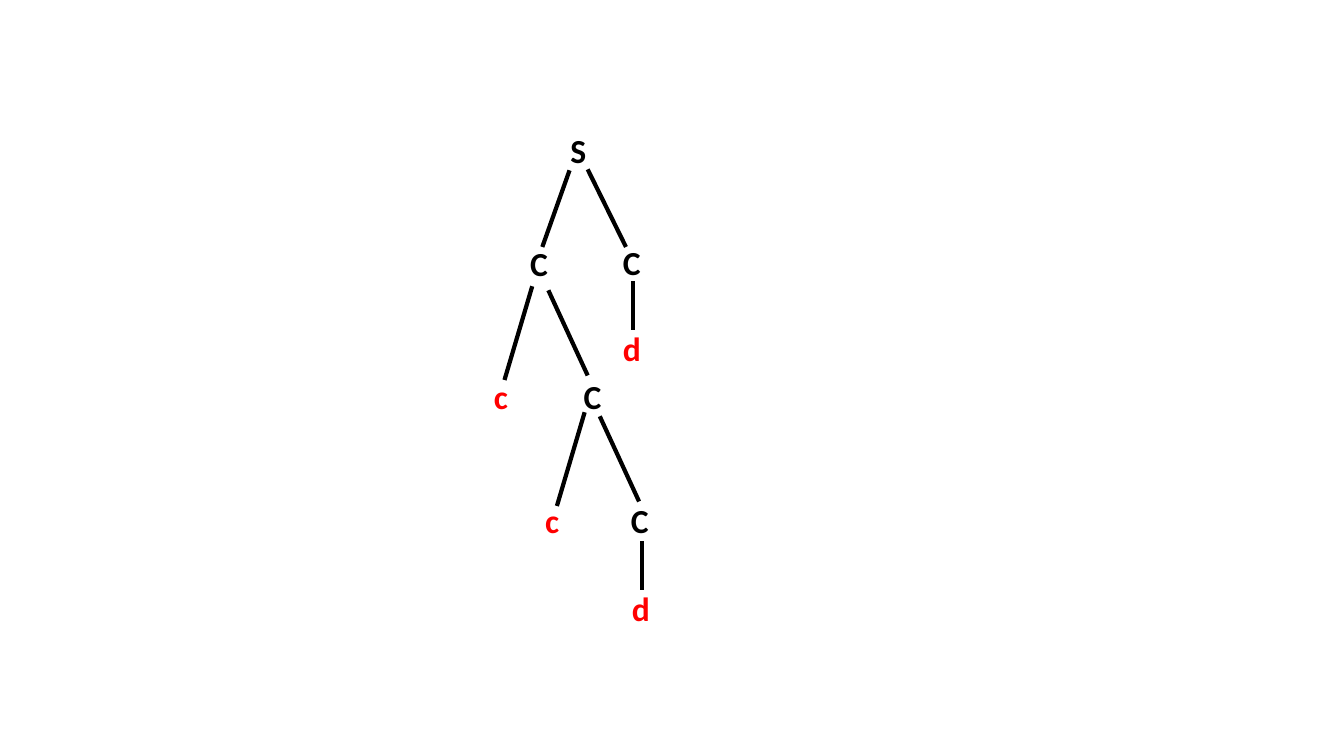
"""Draw the parse tree of the string ccdd on one slide."""
from dataclasses import dataclass
from typing import NamedTuple

import pptx
import pptx.dml.color
import pptx.enum.shapes
import pptx.enum.text
import pptx.oxml.ns
import pptx.slide
import pptx.util
from lxml import etree


@dataclass(frozen=True)
class Theme:
    font: str = "Calibri"
    size: pptx.util.Pt = pptx.util.Pt(24)
    stroke: pptx.util.Pt = pptx.util.Pt(3)
    ink: pptx.dml.color.RGBColor = pptx.dml.color.RGBColor(0, 0, 0)
    terminal: pptx.dml.color.RGBColor = pptx.dml.color.RGBColor(255, 0, 0)


class Node(NamedTuple):
    symbol: str
    col: float
    row: float
    cols: float = 5.1


class Reach(NamedTuple):
    cols: float
    rows: float


class Branch(NamedTuple):
    col: float
    row: float
    reach: Reach


THEME = Theme()
COLS, ROWS = 133.33, 75
CELL = pptx.util.Inches(0.1)
NODE_ROWS = 5

LEFT, RIGHT, STEM = Reach(-2.75, 9.3), Reach(3.9, 8.45), Reach(0, 4.8)
ROOT_LEFT, ROOT_RIGHT = Reach(-2.7, 7.6), Reach(3.8, 7.7)

BRANCHES = (
    Branch(56.5, 16.9, ROOT_LEFT),
    Branch(58.3, 16.8, ROOT_RIGHT),
    Branch(52.8, 28.4, LEFT),
    Branch(54.4, 28.8, RIGHT),
    Branch(62.8, 27.9, STEM),
    Branch(58, 40.9, LEFT),
    Branch(59.5, 41.3, RIGHT),
    Branch(63.7, 53.7, STEM),
)
NODES = (
    Node("S", 55.6, 12.4, 4.7),
    Node("C", 51.6, 23.6, 4.7),
    Node("C", 60.8, 23.5, 4.7),
    Node("d", 60.8, 32),
    Node("c", 48, 36.8),
    Node("C", 56.9, 36.8),
    Node("c", 53.1, 49.1),
    Node("C", 61.6, 49.1),
    Node("d", 61.7, 57.8),
)


def cells(count: float) -> pptx.util.Emu:
    """Turn grid cells into a length."""
    return pptx.util.Emu(round(count * CELL))


def draw_branch(slide: pptx.slide.Slide, branch: Branch) -> None:
    """Draw one line from a node towards its child."""
    col, row, reach = branch
    line = slide.shapes.add_connector(
        pptx.enum.shapes.MSO_CONNECTOR.STRAIGHT,
        cells(col), cells(row), cells(col + reach.cols), cells(row + reach.rows))
    line.line.color.rgb = THEME.ink
    line.line.width = THEME.stroke
    etree.SubElement(line._element.spPr, pptx.oxml.ns.qn("a:effectLst"))


def draw_node(slide: pptx.slide.Slide, node: Node) -> None:
    """Write one grammar symbol, with lower-case terminals in their own colour."""
    sp = slide.shapes.add_textbox(
        cells(node.col), cells(node.row), cells(node.cols), cells(NODE_ROWS))
    tf = sp.text_frame
    tf.word_wrap = True
    tf.auto_size = pptx.enum.text.MSO_AUTO_SIZE.SHAPE_TO_FIT_TEXT
    tf.text = node.symbol
    font = tf.paragraphs[0].runs[0].font
    font.name, font.size, font.bold = THEME.font, THEME.size, True
    font.color.rgb = THEME.terminal if node.symbol.islower() else THEME.ink


def main() -> None:
    """Build and save the slide."""
    prs = pptx.Presentation()
    prs.slide_width, prs.slide_height = cells(COLS), cells(ROWS)
    slide = prs.slides.add_slide(prs.slide_layouts[6])
    for branch in BRANCHES:
        draw_branch(slide, branch)
    for node in NODES:
        draw_node(slide, node)
    prs.save("out.pptx")


if __name__ == "__main__":
    main()
